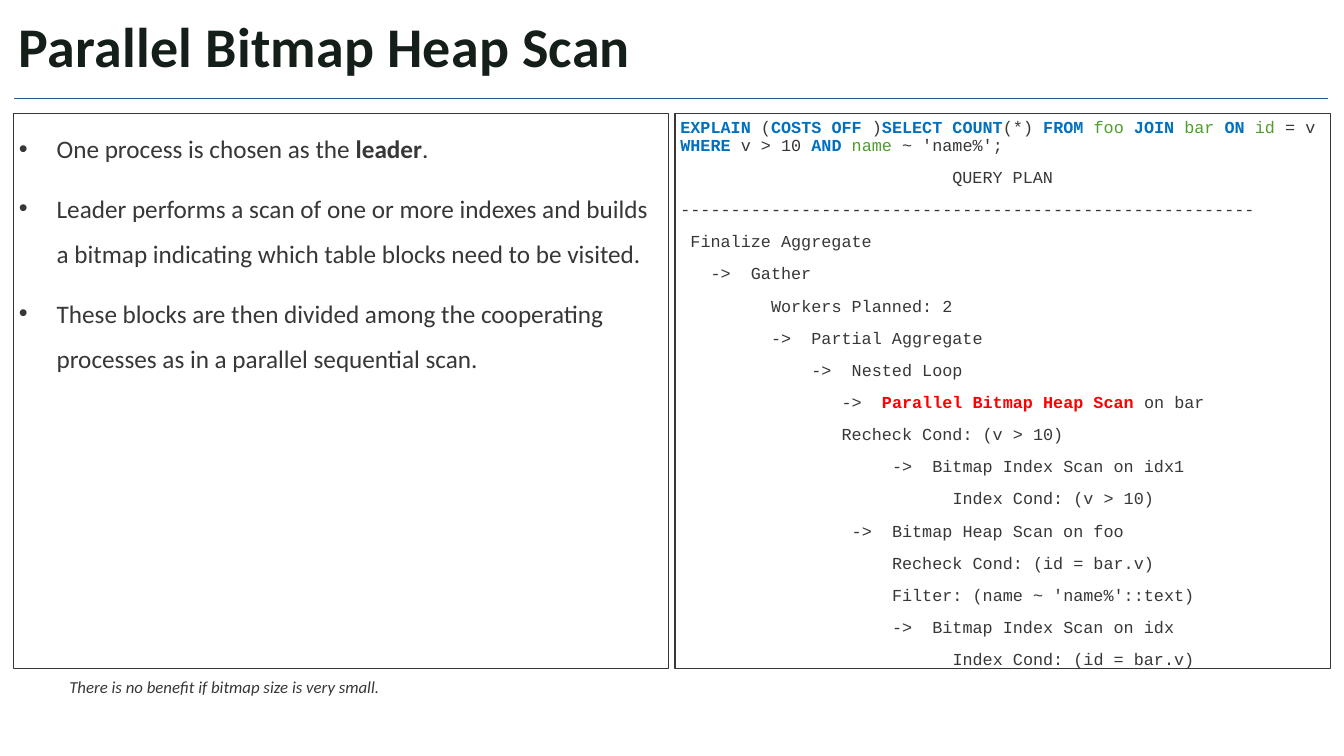
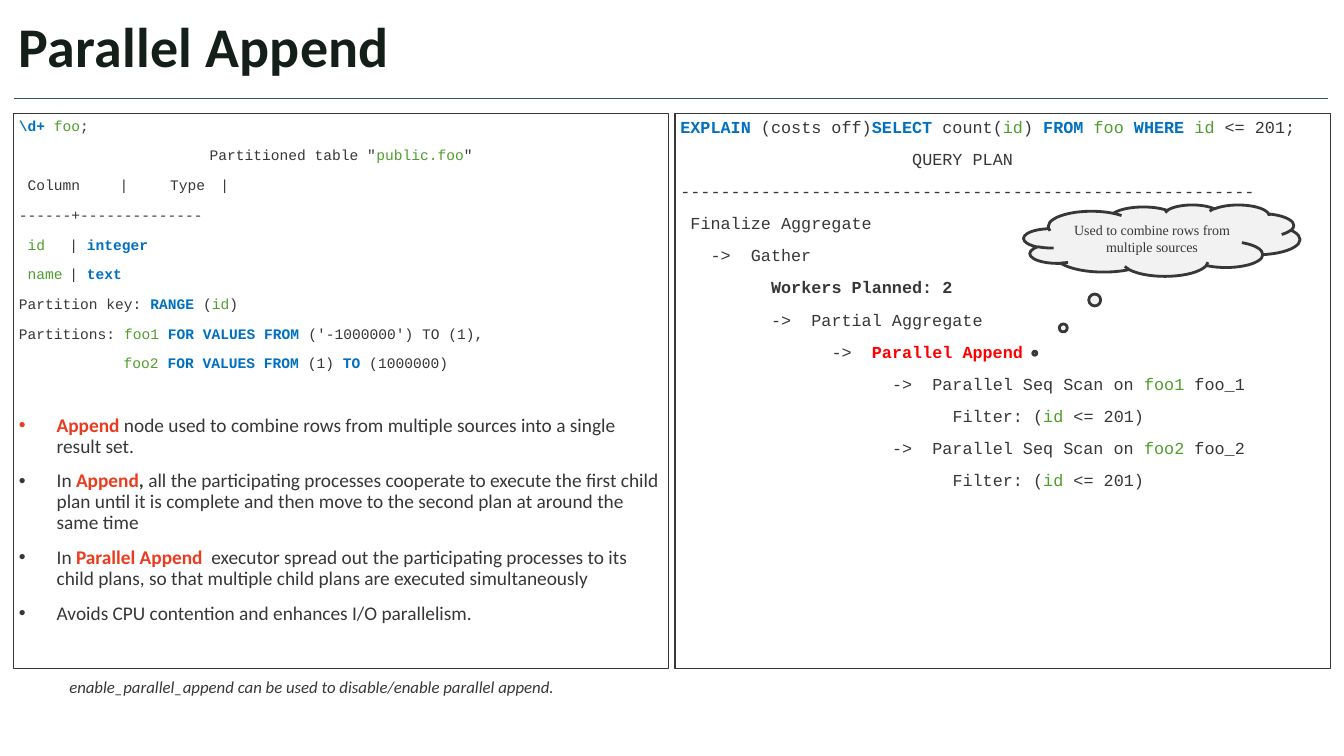
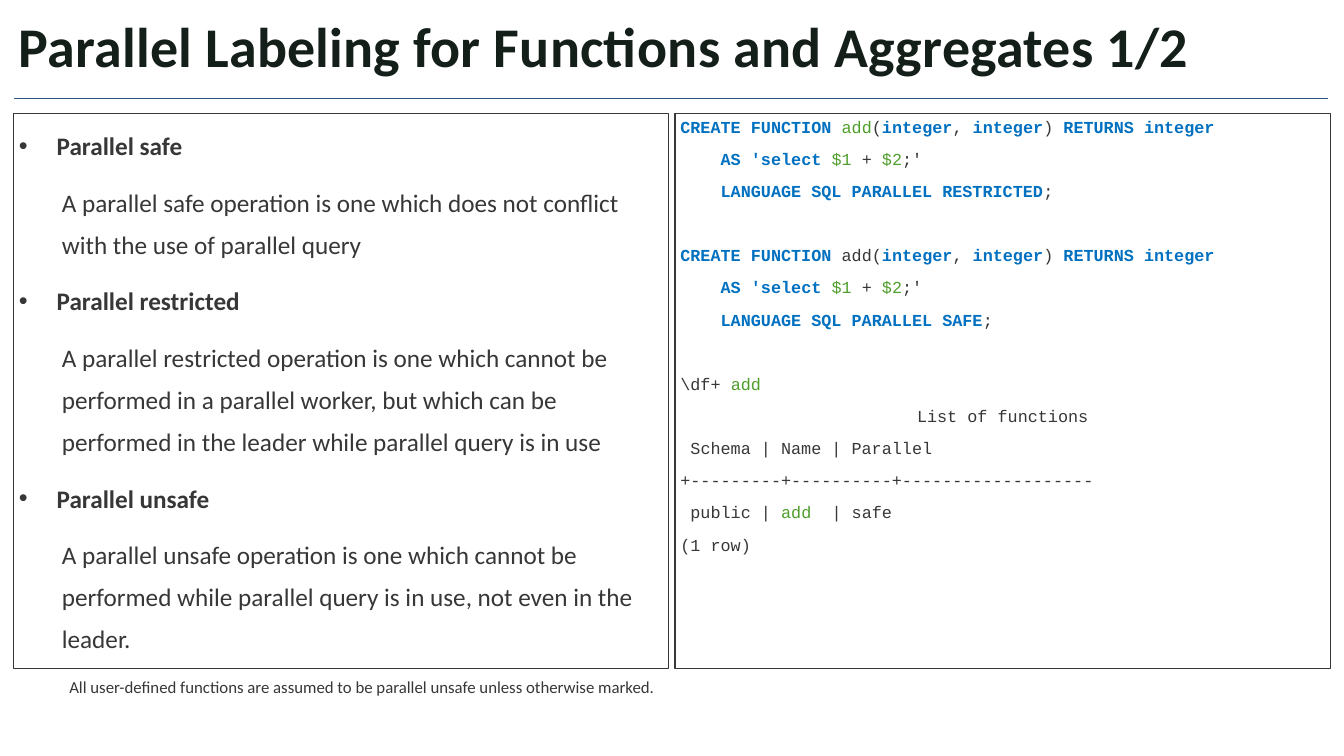
from dataclasses import dataclass

from lxml.etree import SubElement
from pptx import Presentation
from pptx.dml.color import RGBColor
from pptx.enum.shapes import MSO_CONNECTOR, MSO_SHAPE
from pptx.enum.text import MSO_ANCHOR, PP_ALIGN
from pptx.oxml.ns import qn
from pptx.util import Pt

PX = 9525
CENTER = None
LEFT_X, RIGHT_X = 13, 643


@dataclass(frozen=True)
class Theme:
    sans: str = "Calibri"
    mono: str = "Courier New"
    serif: str = "Times New Roman"
    title: str = "141F19"
    text: str = "373737"
    rule: str = "2F567D"
    keyword: str = "0070C0"
    name: str = "4E9E2C"
    hot: str = "FF0000"
    accent: str = "EB3C1F"
    cloud: str = "F2F2F2"
    title_size: float = 40
    body_size: float = 18
    code_size: float = 12
    note_size: float = 12
    callout_size: float = 10
    gap: float = 10
    line_spacing: float = 0.9


THEME = Theme()
# Each mark opens and closes a stretch of text: mark -> (colour, bold)
MARKS = {
    "`": (THEME.keyword, True),
    "^": (THEME.name, False),
    "!": (THEME.hot, True),
    "@": (THEME.accent, True),
    "#": (THEME.text, True),
}


def split_marks(text):
    """Yield (words, colour, bold) for each stretch of marked text."""
    plain = (THEME.text, False)
    words, style, opened = "", plain, ""
    for char in text:
        if char in MARKS and opened in ("", char):
            if words:
                yield words, *style
            words = ""
            opened = "" if opened else char
            style = MARKS[char] if opened else plain
        else:
            words += char
    if words:
        yield words, *style


class Deck:
    def __init__(self, theme):
        self.theme = theme
        self.prs = Presentation()
        self.prs.slide_width, self.prs.slide_height = 1280 * PX, 720 * PX
        self.s = None

    def slide(self, title, note, italic=True):
        """Start a slide with its title, rule and note line."""
        t = self.theme
        self.s = self.prs.slides.add_slide(self.prs.slide_layouts[6])
        rule = self.s.shapes.add_connector(
            MSO_CONNECTOR.STRAIGHT, 1265 * PX, 94 * PX, 13 * PX, 94 * PX)
        rule.line.color.rgb = RGBColor.from_string(t.rule)
        rule.line.width = Pt(1)
        SubElement(rule._element.spPr, qn("a:effectLst"))

        tf = self.text_box(13, 6, 1252, 83)
        tf.vertical_anchor = MSO_ANCHOR.MIDDLE
        p = self.paragraph(tf, before=0)
        p.text = title
        self.format(p.runs[0], t.sans, t.title_size, t.title, bold=True)
        p.runs[0]._r.get_or_add_rPr().set("spc", "20")

        p = self.paragraph(self.text_box(61, 642, 930, 48))
        p.text = note
        self.format(p.runs[0], t.sans, t.note_size, t.text, italic=italic)

    def text_box(self, x, y, w, h):
        box = self.s.shapes.add_textbox(x * PX, y * PX, w * PX, h * PX)
        return self.frame(box)

    def frame(self, sp):
        tf = sp.text_frame
        tf.word_wrap = True
        tf.margin_left = tf.margin_right = 5 * PX
        tf.margin_top = tf.margin_bottom = 5 * PX
        return tf

    def shape(self, kind, x, y, w, h, line_width):
        sp = self.s.shapes.add_shape(kind, x * PX, y * PX, w * PX, h * PX)
        sp.shadow.inherit = False
        sp.line.color.rgb = RGBColor.from_string(self.theme.text)
        sp.line.width = Pt(line_width)
        return sp

    def panel(self, x):
        sp = self.shape(MSO_SHAPE.RECTANGLE, x, 108, 624, 529, 1)
        sp.fill.background()
        tf = self.frame(sp)
        tf.vertical_anchor = MSO_ANCHOR.TOP
        return tf

    def paragraph(self, tf, before=None, spacing=None):
        """Return the first paragraph while it is empty, else a new one."""
        p = tf.paragraphs[0]
        if p.runs:
            p = tf.add_paragraph()
        p.alignment = PP_ALIGN.LEFT
        p.line_spacing = spacing or self.theme.line_spacing
        p.space_before = Pt(self.theme.gap if before is None else before)
        return p

    def format(self, r, font, size, color, bold=False, italic=False):
        r.font.name, r.font.size = font, Pt(size)
        r.font.bold, r.font.italic = bold, italic
        r.font.color.rgb = RGBColor.from_string(color)

    def marked(self, p, text, font, size):
        for words, color, bold in split_marks(text):
            r = p.add_run()
            r.text = words
            self.format(r, font, size, color, bold)

    def code(self, tf, lines, size=None, stops=()):
        """Add (column, text[, space before]) lines; stops are tab columns."""
        size = size or self.theme.code_size
        char = size * 0.6
        for column, text, *before in lines:
            p = self.paragraph(tf, *before)
            pPr = p._p.get_or_add_pPr()
            if column is CENTER:
                p.alignment = PP_ALIGN.CENTER
            else:
                pPr.set("marL", str(Pt(column * char)))
                pPr.set("indent", "0")
            if "\t" in text:
                tabs = SubElement(pPr, qn("a:tabLst"))
                for stop in stops:
                    SubElement(tabs, qn("a:tab"), pos=str(Pt(stop * char)), algn="l")
            self.marked(p, text, self.theme.mono, size)

    def bullet(self, tf, text, size=None, **spacing):
        p = self.paragraph(tf, **spacing)
        pPr = p._p.get_or_add_pPr()
        pPr.set("marL", str(36 * PX))
        pPr.set("indent", str(-36 * PX))
        SubElement(pPr, qn("a:buFont"), typeface="Arial")
        SubElement(pPr, qn("a:buChar"), char="•")
        self.marked(p, text, self.theme.sans, size or self.theme.body_size)

    def detail(self, tf, text, spacing):
        p = self.paragraph(tf, spacing=spacing)
        p.level = 1
        pPr = p._p.get_or_add_pPr()
        pPr.set("marL", str(41 * PX))
        pPr.set("indent", "0")
        self.marked(p, text, self.theme.sans, self.theme.body_size)

    def cloud(self, x, y, w, h, text, tip):
        t = self.theme
        sp = self.shape(MSO_SHAPE.CLOUD_CALLOUT, x, y, w, h, 2)
        sp.adjustments[0], sp.adjustments[1] = tip
        sp.fill.solid()
        sp.fill.fore_color.rgb = RGBColor.from_string(t.cloud)
        tf = sp.text_frame
        tf.word_wrap = True
        tf.vertical_anchor = MSO_ANCHOR.MIDDLE
        tf.text = text
        p = tf.paragraphs[0]
        p.alignment = PP_ALIGN.CENTER
        self.format(p.runs[0], t.serif, t.callout_size, t.text)


def bitmap_heap_scan(deck):
    deck.slide("Parallel Bitmap Heap Scan",
               "There is no benefit if bitmap size is very small.")
    tf = deck.panel(LEFT_X)
    for text in (
        "One process is chosen as the #leader#.",
        "Leader performs a scan of one or more indexes and builds a bitmap "
        "indicating which table blocks need to be visited.",
        "These blocks are then divided among the cooperating processes as in "
        "a parallel sequential scan.",
    ):
        deck.bullet(tf, text, spacing=1.5)
    deck.code(deck.panel(RIGHT_X), [
        (0, "`EXPLAIN` (`COSTS OFF` )`SELECT COUNT`(*) `FROM `^foo ^`JOIN `^bar ^"
            "`ON `^id^ = v `WHERE` v > 10 `AND `^name^ ~ 'name%';"),
        (CENTER, "QUERY PLAN"),
        (0, "-" * 57),
        (1, "Finalize Aggregate"),
        (3, "->  Gather"),
        (9, "Workers Planned: 2"),
        (9, "->  Partial Aggregate"),
        (13, "->  Nested Loop"),
        (16, "->  !Parallel Bitmap Heap Scan !on bar"),
        (16, "Recheck Cond: (v > 10)"),
        (21, "->  Bitmap Index Scan on idx1"),
        (27, "Index Cond: (v > 10)"),
        (17, "->  Bitmap Heap Scan on foo"),
        (21, "Recheck Cond: (id = bar.v)"),
        (21, "Filter: (name ~ 'name%'::text)"),
        (21, "->  Bitmap Index Scan on idx"),
        (27, "Index Cond: (id = bar.v)"),
    ])


def parallel_append(deck):
    deck.slide("Parallel Append",
               "enable_parallel_append can be used to disable/enable parallel append.")
    tf = deck.panel(LEFT_X)
    deck.code(tf, [
        (0, r"`\d+ `^foo^;"),
        (CENTER, 'Partitioned table "^public.foo^"'),
        (0, " Column\t|\tType\t|"),
        (0, "------+--------------"),
        (0, " ^id^\t| `integer`"),
        (0, " ^name^\t| `text`"),
        (0, "Partition key: `RANGE` (^id^)"),
        (0, "Partitions: ^foo1 ^`FOR VALUES FROM` ('-1000000') TO (1),"),
        (12, "^foo2 ^`FOR VALUES FROM` (1) `TO` (1000000)"),
    ], size=10.4, stops=(8, 11, 18))
    for text, before in (
        ("@Append@ node used to combine rows from multiple sources into a "
         "single result set.", 31),
        ("In @Append@#,# all the participating processes cooperate to execute "
         "the first child plan until it is complete and then move to the "
         "second plan at around the same time", None),
        ("In @Parallel Append@  executor spread out the participating processes "
         "to its child plans, so that multiple child plans are executed "
         "simultaneously", None),
        ("Avoids CPU contention and enhances I/O parallelism.", None),
    ):
        deck.bullet(tf, text, size=13.8, before=before)
    plan = [
        (0, "`EXPLAIN` (costs off)`SELECT` count(^id^) `FROM `^foo ^`WHERE `"
            "^id^ <= 201;"),
        (23, "QUERY PLAN"),
        (0, "-" * 57),
        (1, "Finalize Aggregate"),
        (3, "->  Gather"),
        (9, "#Workers Planned: 2#"),
        (9, "->  Partial Aggregate"),
        (15, "->  !Parallel Append!"),
    ]
    for n in (1, 2):
        plan += [(21, f"->  Parallel Seq Scan on ^foo{n}^ foo_{n}"),
                 (27, "Filter: (^id^ <= 201)")]
    deck.code(deck.panel(RIGHT_X), plan)
    deck.cloud(975, 195, 263, 68, "Used to combine rows from multiple sources",
               tip=(-0.46, 1.58))


def create_add(name, label, before=None):
    """Code lines that create the function add with a parallel label."""
    return [
        (0, f"`CREATE FUNCTION `{name}(`integer`, `integer`) `RETURNS integer`", before),
        (4, "`AS 'select `^$1 ^+ ^$2^;'"),
        (4, f"`LANGUAGE SQL PARALLEL {label}`;"),
    ]


def parallel_labeling(deck):
    deck.slide("Parallel Labeling for Functions and Aggregates 1/2",
               "All user-defined functions are assumed to be parallel unsafe "
               "unless otherwise marked.", italic=False)
    tf = deck.panel(LEFT_X)
    for label, meaning in (
        ("safe", "does not conflict with the use of parallel query"),
        ("restricted", "cannot be performed in a parallel worker, but which can "
                       "be performed in the leader while parallel query is in use"),
        ("unsafe", "cannot be performed while parallel query is in use, not even "
                   "in the leader."),
    ):
        deck.bullet(tf, f"#Parallel {label}#", spacing=1.4)
        deck.detail(tf, f"A parallel {label} operation is one which {meaning}", 1.4)
    deck.code(deck.panel(RIGHT_X), [
        *create_add("^add^", "RESTRICTED"),
        *create_add("add", "SAFE", before=33),
        (0, r"\df+ ^add^", 33),
        (CENTER, "List of functions"),
        (1, "Schema | Name | Parallel"),
        (0, "+---------+----------+-------------------"),
        (0, " public | ^add^\t| safe"),
        (0, "(1 row)"),
    ], stops=(15,))


def main():
    deck = Deck(THEME)
    bitmap_heap_scan(deck)
    parallel_append(deck)
    parallel_labeling(deck)
    deck.prs.save("out.pptx")


if __name__ == "__main__":
    main()
